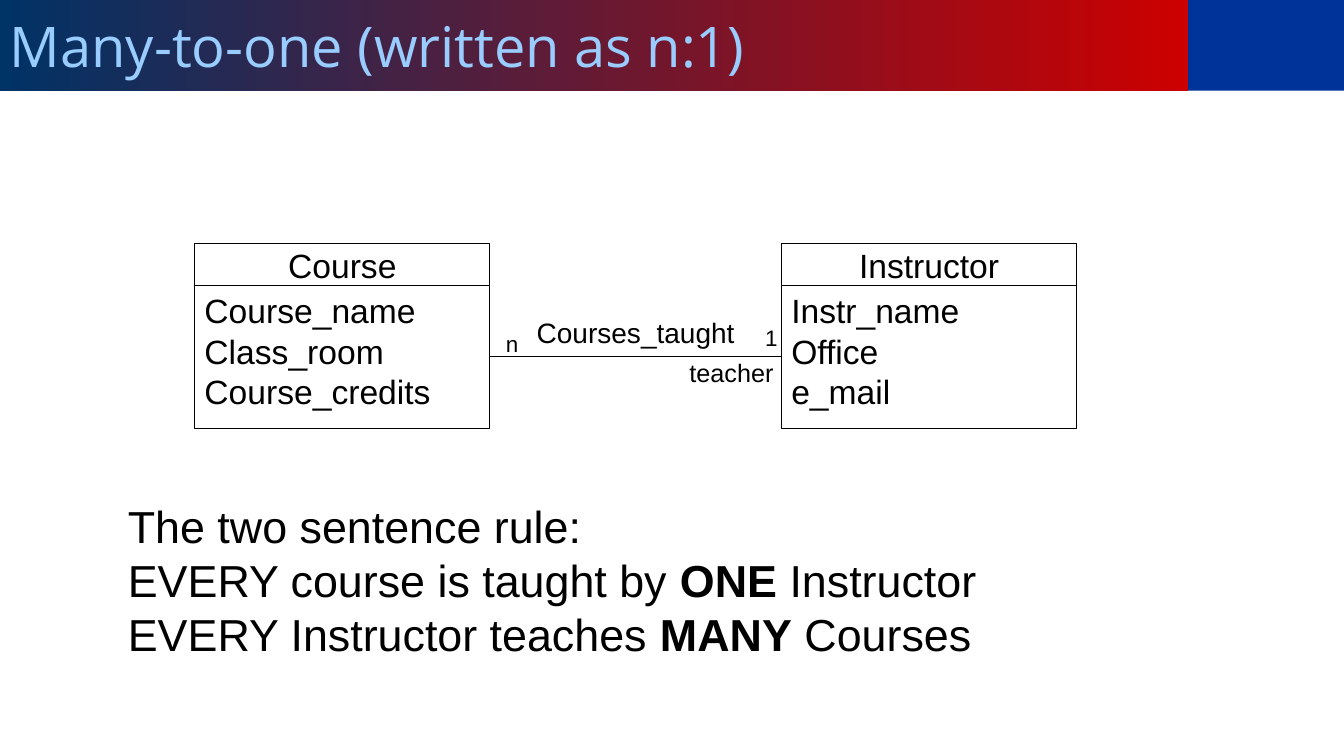
from pptx import Presentation, util as u
from pptx.dml.color import RGBColor
from pptx.enum import shapes, text
from pptx.oxml.ns import qn
from lxml import etree

# Content
TITLE = "Many-to-one (written as n:1)"
ENTITIES = [
    ("Course", ["Course_name", "Class_room", "Course_credits"]),
    ("Instructor", ["Instr_name", "Office", "e_mail"]),
]
RULE = [
    [("The two sentence rule:", False)],
    [("EVERY course is taught by ", False), ("ONE", True), (" Instructor", False)],
    [("EVERY Instructor teaches ", False), ("MANY", True), (" Courses", False)],
]
LEFT, CENTER, RIGHT = (text.PP_ALIGN.LEFT, text.PP_ALIGN.CENTER, text.PP_ALIGN.RIGHT)
TOP, MIDDLE = text.MSO_ANCHOR.TOP, text.MSO_ANCHOR.MIDDLE
# Wording, place, size, alignment
LABELS = [
    ("teacher", (6.3, 3.5, 1.47, 0.4), 18, RIGHT),
    ("Courses_taught", (5.14, 3.08, 2.33, 0.44), 20, CENTER),
    ("n", (4.92, 3.23, 0.41, 0.37), 16, LEFT),
    ("1", (7.49, 3.17, 0.41, 0.37), 16, LEFT),
]

# Layout
WIDTH, HEIGHT = 13.33, 7.5
BAND_WIDTH, BAND_HEIGHT = 11.78, 0.12 * HEIGHT
ENTITY_LEFT, ENTITY_TOP, ENTITY_STEP = 1.93, 2.42, 5.82
ENTITY_WIDTH, HEAD_HEIGHT, BODY_HEIGHT = 2.93, 0.41, 1.42
RULE_PLACE = (1.17, 4.9, 8.91, 1.72)

deck = Presentation()
deck.slide_width, deck.slide_height = u.Inches(WIDTH), u.Inches(HEIGHT)
page = deck.slides.add_slide(deck.slide_layouts[6])


def color(value):
    return RGBColor.from_string(value)


def inches(place):
    return [u.Inches(length) for length in place]


def write(box, lines, size, align=LEFT, anchor=TOP, wrap=True, font="Arial", ink="000000"):
    """Fill a box with lines, each a list of (wording, bold) spans."""
    frame = box.text_frame
    frame.word_wrap, frame.vertical_anchor = wrap, anchor
    for index, line in enumerate(lines):
        para = frame.paragraphs[0] if index == 0 else frame.add_paragraph()
        para.alignment = align
        for wording, bold in line:
            span = para.add_run()
            span.text = wording
            span.font.color.rgb = color(ink)
            for key, value in {"name": font, "size": u.Pt(size), "bold": bold}.items():
                setattr(span.font, key, value)


def add_rect(place, fill, outline=None):
    box = page.shapes.add_shape(shapes.MSO_SHAPE.RECTANGLE, *inches(place))
    box.shadow.inherit = False
    box.fill.solid()
    box.fill.fore_color.rgb = color(fill)
    if outline:
        box.line.color.rgb, box.line.width = color(outline), u.Pt(0.75)
    else:
        box.line.fill.background()
    return box


# Title band
add_rect((BAND_WIDTH, 0, WIDTH - BAND_WIDTH, BAND_HEIGHT), "003399")
band = add_rect((0, 0, BAND_WIDTH, BAND_HEIGHT), "003366")
band.fill.gradient()
band.fill.gradient_angle = 0
for stop, (position, shade) in zip(band.fill.gradient_stops, [(0, "003366"), (1, "CC0000")]):
    stop.position, stop.color.rgb = position, color(shade)
write(band, [[(TITLE, False)]], 40, anchor=MIDDLE, font="Open Sans", ink="99CCFF")

# Entities: a heading above a list of attributes
bodies = []
for column, (name, attributes) in enumerate(ENTITIES):
    left = ENTITY_LEFT + column * ENTITY_STEP
    head = add_rect((left, ENTITY_TOP, ENTITY_WIDTH, HEAD_HEIGHT), "FFFFFF", "000000")
    write(head, [[(name, False)]], 24, CENTER, MIDDLE, wrap=False)
    body = add_rect((left, ENTITY_TOP + HEAD_HEIGHT, ENTITY_WIDTH, BODY_HEIGHT), "FFFFFF", "000000")
    write(body, [[(attribute, False)] for attribute in attributes], 24, wrap=False)
    bodies.append(body)

# Relationship line
course, instructor = bodies
link = page.shapes.add_connector(shapes.MSO_CONNECTOR.STRAIGHT, 0, 0, 0, 0)
link.begin_connect(instructor, 1)
link.end_connect(course, 3)
link.line.color.rgb, link.line.width = color("000000"), u.Pt(0.75)
etree.SubElement(link._element.spPr, qn("a:effectLst"))

# Labels and the rule
for wording, place, size, align in LABELS:
    write(page.shapes.add_textbox(*inches(place)), [[(wording, False)]], size, align)
write(page.shapes.add_textbox(*inches(RULE_PLACE)), RULE, 32, wrap=False)

deck.save("out.pptx")
